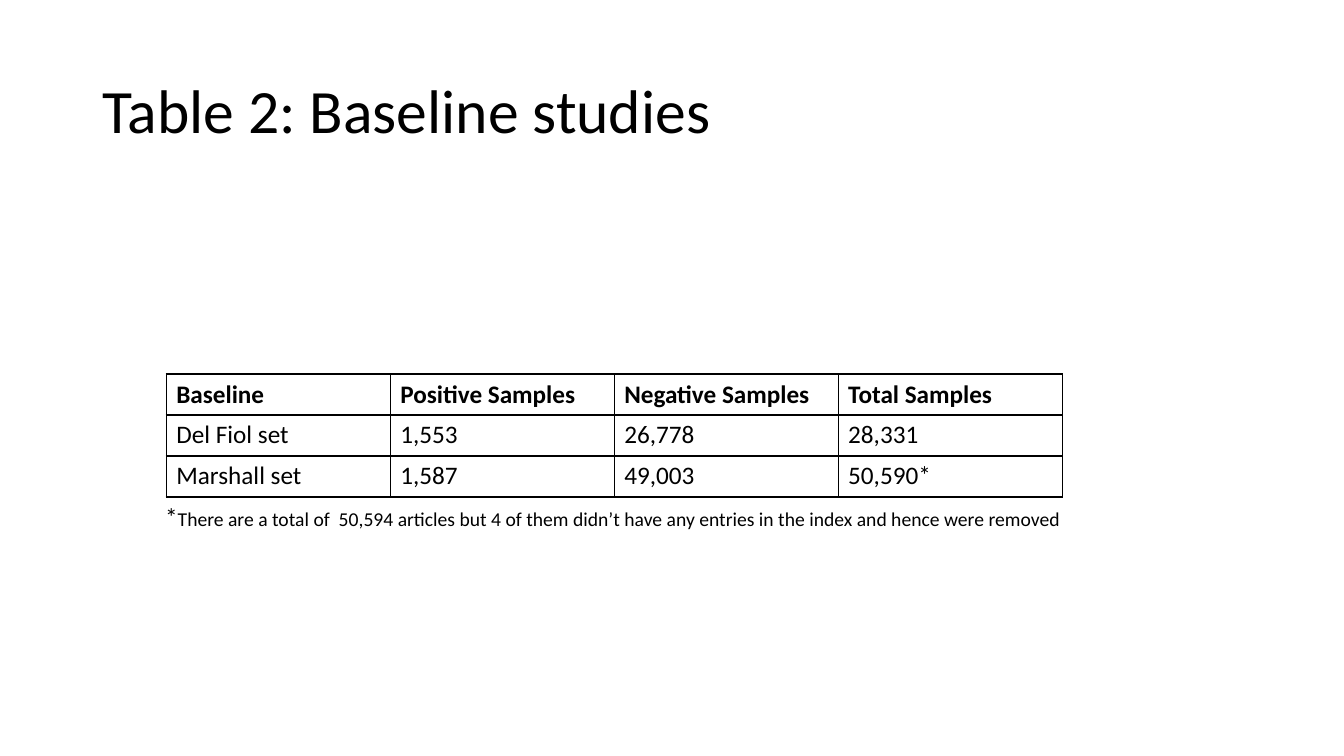
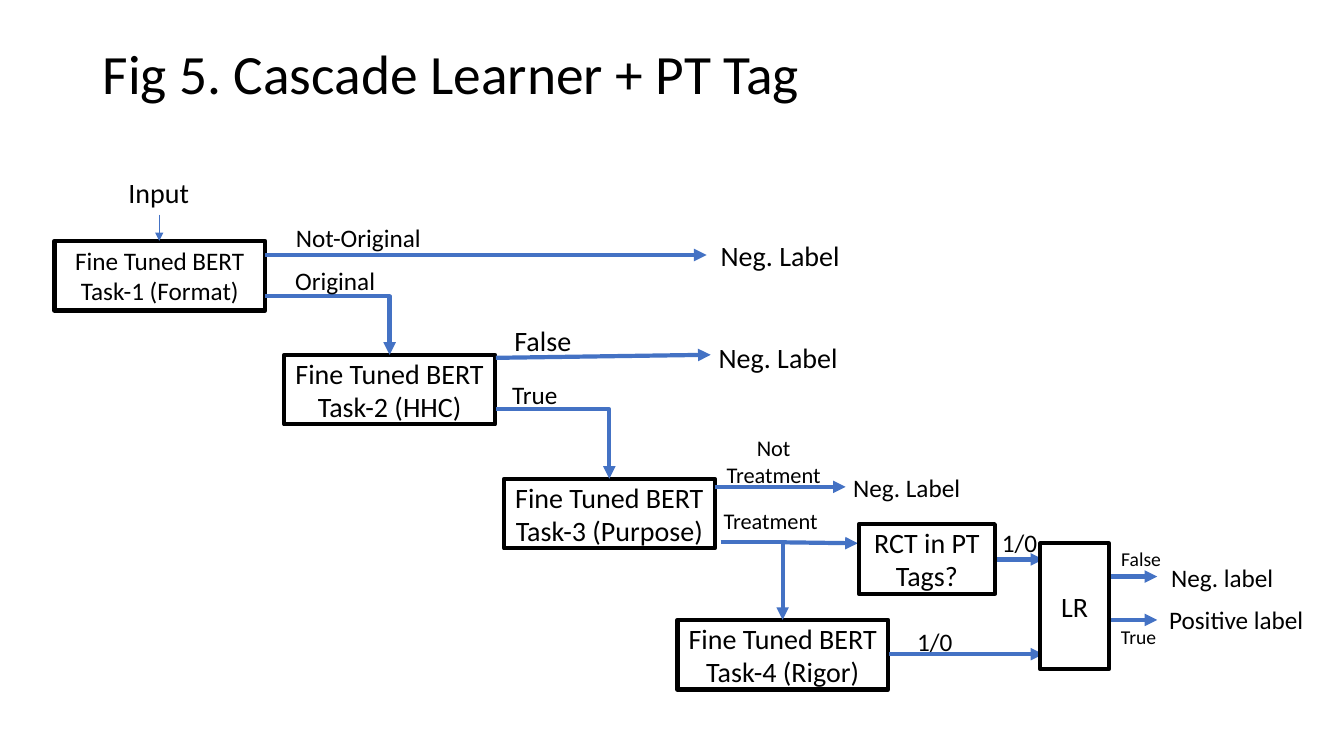
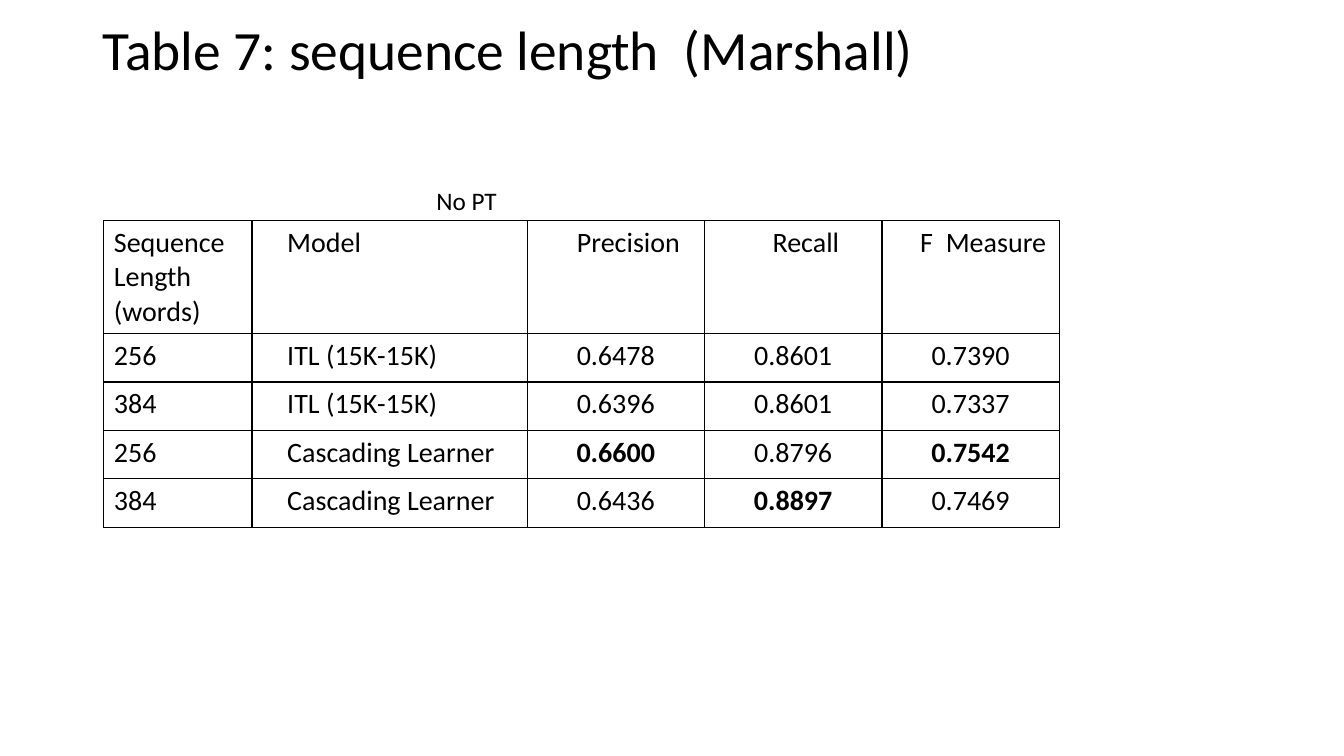
from dataclasses import dataclass

from lxml.etree import SubElement
from pptx import Presentation
from pptx.dml.color import RGBColor
from pptx.enum.shapes import MSO_CONNECTOR, MSO_SHAPE
from pptx.enum.text import MSO_ANCHOR, PP_ALIGN
from pptx.oxml.ns import qn
from pptx.util import Emu, Inches, Pt

COLORS = {"ink": "000000", "paper": "FFFFFF", "arrow": "4472C4"}
FONT = "Calibri"
GRID = Inches(0.1)  # one column or row
SLIDE_COLS, SLIDE_ROWS = 133.33, 75
TITLE_COL, TITLE_COLS = 9.2, 115
LABEL_ROWS = 4
TASK_COLS, BOX_ROWS = 20.9, 6.9
LEFT, CENTER = PP_ALIGN.LEFT, PP_ALIGN.CENTER


@dataclass(frozen=True)
class Area:
    col: float
    row: float
    cols: float
    rows: float


@dataclass(frozen=True)
class Run:
    text: str
    size: float | None = None
    bold: bool = False


@dataclass(frozen=True)
class Node:
    text: str
    area: Area
    size: float = 20


@dataclass(frozen=True)
class Arrow:
    """Straight when target is empty, else across and down onto that node."""
    start: tuple[float, float]
    end: tuple[float, float]
    width: float = 3
    target: str = ""


@dataclass(frozen=True)
class Label:
    text: str
    area: Area
    size: float = 18
    align: PP_ALIGN = CENTER


@dataclass(frozen=True)
class Column:
    cols: float
    head_align: PP_ALIGN = LEFT
    align: PP_ALIGN = LEFT
    head_indent: float = 0
    indent: float = 0


def grid(n: float) -> Emu:
    return Emu(round(n * GRID))


def place(area: Area) -> tuple[Emu, Emu, Emu, Emu]:
    return grid(area.col), grid(area.row), grid(area.cols), grid(area.rows)


def rgb(name: str) -> RGBColor:
    return RGBColor.from_string(COLORS[name])


def write(tf, *runs, size: float = 18, bold: bool = False, align: PP_ALIGN = LEFT,
          spacing: float = 1, indent: float = 0) -> None:
    """Fill one paragraph; a run may override the size or add bold."""
    p = tf.paragraphs[0]
    p.alignment, p.line_spacing = align, spacing
    if indent:
        p._p.get_or_add_pPr().set("marL", str(grid(indent)))
    for item in runs:
        run = item if isinstance(item, Run) else Run(item)
        for n, line in enumerate(run.text.split("\n")):
            if n:
                p.add_line_break()
            r = p.add_run()
            r.text = line
            r.font.name, r.font.size = FONT, Pt(run.size or size)
            r.font.bold = bold or run.bold
            r.font.color.rgb = rgb("ink")


def add_text(slide, area: Area, *runs, anchor: MSO_ANCHOR = MSO_ANCHOR.TOP, **fmt) -> None:
    tf = slide.shapes.add_textbox(*place(area)).text_frame
    tf.word_wrap, tf.vertical_anchor = True, anchor
    write(tf, *runs, **fmt)


def add_slide(prs, title: str, row: float, rows: float, size: float = 39.6):
    slide = prs.slides.add_slide(prs.slide_layouts[6])
    add_text(slide, Area(TITLE_COL, row, TITLE_COLS, rows), title,
             anchor=MSO_ANCHOR.MIDDLE, size=size, spacing=0.9)
    return slide


def add_node(slide, node: Node):
    sp = slide.shapes.add_shape(MSO_SHAPE.RECTANGLE, *place(node.area))
    sp.shadow.inherit = False
    sp.fill.solid()
    sp.fill.fore_color.rgb = rgb("paper")
    sp.line.color.rgb, sp.line.width = rgb("ink"), Pt(3)
    tf = sp.text_frame
    tf.word_wrap, tf.vertical_anchor = True, MSO_ANCHOR.MIDDLE
    write(tf, node.text, size=node.size, align=CENTER)
    return sp


def add_arrow(slide, arrow: Arrow, nodes: dict) -> None:
    kind = MSO_CONNECTOR.ELBOW if arrow.target else MSO_CONNECTOR.STRAIGHT
    sp = slide.shapes.add_connector(kind, *map(grid, arrow.start + arrow.end))
    spPr = sp._element.spPr
    if arrow.target:
        sp.end_connect(nodes[arrow.target], 0)
        spPr.find(qn("a:prstGeom")).set("prst", "bentConnector2")
    sp.line.color.rgb, sp.line.width = rgb("arrow"), Pt(arrow.width)
    SubElement(sp.line._get_or_add_ln(), qn("a:tailEnd"), type="triangle")
    SubElement(spPr, qn("a:effectLst"))


def add_borders(cell) -> None:
    tcPr = cell._tc.get_or_add_tcPr()
    for n, side in enumerate(("a:lnL", "a:lnR", "a:lnT", "a:lnB")):
        ln = tcPr.makeelement(qn(side), {"w": str(Pt(1))})
        fill = SubElement(ln, qn("a:solidFill"))
        SubElement(fill, qn("a:srgbClr"), val=COLORS["ink"])
        tcPr.insert(n, ln)


def add_table(slide, col: float, row: float, columns: list[Column], heights: list[float],
              cells: list[tuple], size: float, bold_head: bool = False) -> None:
    area = Area(col, row, sum(c.cols for c in columns), sum(heights))
    table = slide.shapes.add_table(len(heights), len(columns), *place(area)).table
    table.first_row = table.horz_banding = False
    for c, column in enumerate(columns):
        table.columns[c].width = grid(column.cols)
    for r, (height, values) in enumerate(zip(heights, cells)):
        table.rows[r].height = grid(height)
        head = r == 0
        for c, (column, value) in enumerate(zip(columns, values)):
            cell = table.cell(r, c)
            cell.fill.background()
            add_borders(cell)
            write(cell.text_frame, value, size=size, bold=head and bold_head,
                  align=column.head_align if head else column.align,
                  indent=column.head_indent if head else column.indent)


BASELINES = [
    ("Baseline", "Positive Samples", "Negative Samples", "Total Samples"),
    ("Del Fiol set", "1,553", "26,778", "28,331"),
    ("Marshall set", "1,587", "49,003", "50,590*"),
]
SEQUENCE_LENGTHS = [
    ("Sequence Length (words)", "Model", "Precision", "Recall", "F  Measure"),
    ("256", "ITL (15K-15K)", "0.6478", "0.8601", "0.7390"),
    ("384", "ITL (15K-15K)", "0.6396", "0.8601", "0.7337"),
    ("256", "Cascading Learner", Run("0.6600", bold=True), "0.8796", Run("0.7542", bold=True)),
    ("384", "Cascading Learner", "0.6436", Run("0.8897", bold=True), "0.7469"),
]
TASKS = {
    name: Node(f"Fine Tuned BERT\n{name}", Area(col, row, TASK_COLS, BOX_ROWS), size)
    for name, col, row, size in [
        ("Task-1 (Format)", 5.4, 23.9, 18),
        ("Task-2 (HHC)", 28.2, 35.2, 20),
        ("Task-3 (Purpose)", 50, 47.5, 20),
        ("Task-4 (Rigor)", 67.2, 61.5, 20),
    ]
}
SCORERS = [
    Node("RCT in PT Tags?", Area(85.2, 52, 13.5, BOX_ROWS)),
    Node("LR", Area(103.2, 53.9, 6.8, 12.5)),
]
ARROWS = [
    Arrow((15.8, 21.3), (15.8, 23.9), width=0.5),
    Arrow((26.3, 25.3), (70.1, 25.3)),
    Arrow((26.3, 29.4), (38.7, 35.2), target="Task-2 (HHC)"),
    Arrow((49.2, 35.5), (70.5, 35.2)),
    Arrow((49.2, 40.6), (60.4, 47.5), target="Task-3 (Purpose)"),
    Arrow((70.9, 48.3), (83.9, 48.3)),
    Arrow((71.5, 53.8), (77.6, 61.5), target="Task-4 (Rigor)"),
    Arrow((77.6, 53.8), (85.1, 53.9)),
    Arrow((88.2, 64.9), (103.5, 64.9)),
    Arrow((98.8, 55.5), (103.5, 55.5)),
    Arrow((110, 57.2), (114.8, 57.2)),
    Arrow((110, 61.5), (114.8, 61.5)),
]
LABELS = [
    Label("Input", Area(11.2, 16.9, 9.1, LABEL_ROWS), 20),
    Label("Not-Original", Area(28.2, 21.6, 14.7, LABEL_ROWS)),
    Label("Original", Area(28.2, 25.8, 10.1, LABEL_ROWS)),
    Label("Neg. Label", Area(68.2, 23.2, 18.4, LABEL_ROWS), 20),
    Label("False", Area(49.6, 31.6, 8.5, LABEL_ROWS), 20),
    Label("True", Area(47.8, 37.1, 10.5, LABEL_ROWS)),
    Label("Neg. Label", Area(68, 33.3, 18.4, LABEL_ROWS), 20),
    Label("Not\nTreatment", Area(69.6, 42.6, 14.3, 6.4), 16),
    Label("Treatment", Area(69.1, 49.8, 14.7, LABEL_ROWS), 16),
    Label("Neg. Label", Area(82, 46.4, 15.9, LABEL_ROWS)),
    Label("1/0", Area(98.4, 51.8, 5.6, LABEL_ROWS), align=LEFT),
    Label("1/0", Area(90, 61.6, 5.6, LABEL_ROWS), align=LEFT),
    Label("False", Area(109.9, 53.8, 6.6, LABEL_ROWS), 14),
    Label("True", Area(108.9, 61.5, 8.1, LABEL_ROWS), 14),
    Label("Neg. label", Area(115.2, 55.3, 15.2, LABEL_ROWS), align=LEFT),
    Label("Positive label", Area(115, 59.5, 15.4, LABEL_ROWS), align=LEFT),
]


def baseline_slide(prs) -> None:
    slide = add_slide(prs, "Table 2: Baseline studies", 4, 14.5, size=44)
    add_table(slide, 16.5, 37.1, [Column(22.22)] * 4, [4.07] * 3, BASELINES,
              size=18, bold_head=True)
    add_text(slide, Area(15.4, 49.2, 94.1, LABEL_ROWS), "*",
             Run("There are a total of  50,594 articles but 4 of them didn’t have "
                 "any entries in the index and hence were removed", size=14))


def cascade_slide(prs) -> None:
    slide = add_slide(prs, "Fig 5. Cascade Learner + PT Tag", 4, 7.2)
    tasks = {name: add_node(slide, node) for name, node in TASKS.items()}
    for arrow in ARROWS:
        add_arrow(slide, arrow, tasks)
    for node in SCORERS:
        add_node(slide, node)
    for label in LABELS:
        add_text(slide, label.area, label.text, size=label.size, align=label.align)


def sequence_slide(prs) -> None:
    slide = add_slide(prs, "Table 7: sequence length  (Marshall)", 1.6, 7.2)
    score = Column(17.6, CENTER, CENTER, head_indent=2.5)
    columns = [Column(14.7), Column(27.3, head_indent=2.5, indent=2.5)] + [score] * 3
    add_table(slide, 10.3, 21.9, columns, [11.2] + [4.8] * 4, SEQUENCE_LENGTHS, size=20)
    add_text(slide, Area(42.3, 17.9, 8.1, LABEL_ROWS), "No PT")


def main() -> None:
    prs = Presentation()
    prs.slide_width, prs.slide_height = grid(SLIDE_COLS), grid(SLIDE_ROWS)
    baseline_slide(prs)
    cascade_slide(prs)
    sequence_slide(prs)
    prs.save("out.pptx")


if __name__ == "__main__":
    main()
